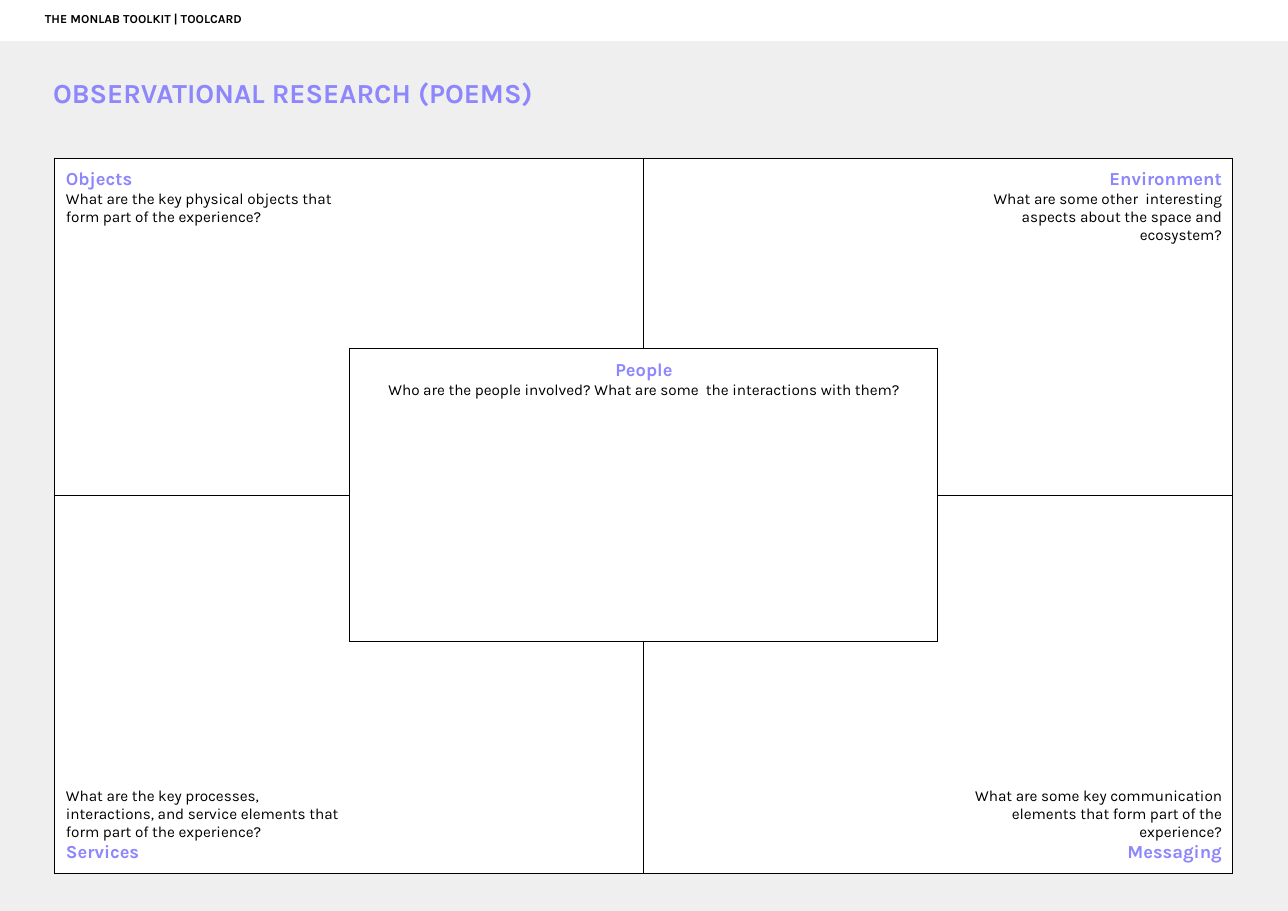
from dataclasses import dataclass

from lxml import etree
from pptx import Presentation
from pptx.dml.color import RGBColor
from pptx.enum.shapes import MSO_SHAPE
from pptx.enum.text import MSO_ANCHOR, MSO_AUTO_SIZE, PP_ALIGN
from pptx.oxml.ns import qn
from pptx.util import Pt

RECT = MSO_SHAPE.RECTANGLE
TOP, BOTTOM = MSO_ANCHOR.TOP, MSO_ANCHOR.BOTTOM
LEFT, CENTER, RIGHT = PP_ALIGN.LEFT, PP_ALIGN.CENTER, PP_ALIGN.RIGHT
NO_AUTOFIT = MSO_AUTO_SIZE.NONE

BLACK = RGBColor(0x00, 0x00, 0x00)
WHITE = RGBColor(0xFF, 0xFF, 0xFF)
GREY = RGBColor(0xEF, 0xEF, 0xEF)
LILAC = RGBColor(0x8D, 0x86, 0xFC)

FONT = "Karla"
EMU_PER_PX = 8300
SLIDE_W, SLIDE_H = 1288, 911
INSET = 11
COLS = [295, 294, 294, 295]
ROWS = [191, 147, 146, 232]
OUTER_EDGES = (0, 2, 4)  # ruled grid lines in the outer rows and columns
MIDDLE_EDGES = (0, 1, 3, 4)  # ruled grid lines beside the central cell


@dataclass
class Prompt:
    row: int
    col: int
    heading: str
    question: str
    align: PP_ALIGN
    anchor: MSO_ANCHOR = TOP


PROMPTS = [
    Prompt(0, 0, "Objects",
           "What are the key physical objects that form part of the experience?", LEFT),
    Prompt(0, 3, "Environment",
           "What are some other  interesting aspects about the space and ecosystem?", RIGHT),
    Prompt(1, 1, "People",
           "Who are the people involved? What are some  the interactions with them?", CENTER),
    Prompt(3, 0, "Services",
           "What are the key processes, interactions, and service elements that "
           "form part of the experience?", LEFT, BOTTOM),
    Prompt(3, 3, "Messaging",
           "What are some key communication elements that form part of the experience?",
           RIGHT, BOTTOM),
]


def px(n: int) -> int:
    return n * EMU_PER_PX


def write(p, text: str, *, size: int, color: RGBColor = BLACK,
          bold: bool = False, align: PP_ALIGN = LEFT) -> None:
    p.alignment = align
    r = p.add_run()
    r.text = text
    r.font.name = FONT
    r.font.size = Pt(size)
    r.font.bold = bold
    r.font.color.rgb = color


def set_insets(box, left: int = INSET) -> None:
    box.margin_left = px(left)
    box.margin_top = box.margin_right = box.margin_bottom = px(INSET)


def add_band(s, height: int, color: RGBColor):
    sp = s.shapes.add_shape(RECT, 0, 0, px(SLIDE_W), px(height))
    sp.shadow.inherit = False
    sp.fill.solid()
    sp.fill.fore_color.rgb = color
    sp.line.fill.background()
    return sp


def set_frame(tf, left: int) -> None:
    tf.word_wrap = True
    tf.auto_size = NO_AUTOFIT
    tf.vertical_anchor = TOP
    set_insets(tf, left)


def add_border(cell, side: str, ruled: bool) -> None:
    ln = etree.SubElement(cell._tc.get_or_add_tcPr(), qn(f"a:ln{side}"), w=str(Pt(0.75)))
    if ruled:
        fill = etree.SubElement(ln, qn("a:solidFill"))
        etree.SubElement(fill, qn("a:srgbClr"), val=str(BLACK))
    else:
        etree.SubElement(ln, qn("a:noFill"))


def ruled_edges(index: int) -> tuple[int, ...]:
    return MIDDLE_EDGES if index in (1, 2) else OUTER_EDGES


def style_cell(cell, row: int, col: int) -> None:
    span_w = cell.span_width if cell.is_merge_origin else 1
    span_h = cell.span_height if cell.is_merge_origin else 1
    across, down = ruled_edges(row), ruled_edges(col)
    add_border(cell, "L", col in across)
    add_border(cell, "R", col + span_w in across)
    add_border(cell, "T", row in down)
    add_border(cell, "B", row + span_h in down)
    cell.fill.solid()
    cell.fill.fore_color.rgb = WHITE


def fill_prompt(cell, prompt: Prompt) -> None:
    set_insets(cell)
    cell.vertical_anchor = prompt.anchor
    tf = cell.text_frame
    first, second = tf.paragraphs[0], tf.add_paragraph()
    heading, question = (second, first) if prompt.anchor == BOTTOM else (first, second)
    write(heading, prompt.heading, size=12, color=LILAC, bold=True, align=prompt.align)
    write(question, prompt.question, size=10, align=prompt.align)


def add_canvas(s) -> None:
    table = s.shapes.add_table(len(ROWS), len(COLS), px(55), px(158),
                               px(sum(COLS)), px(sum(ROWS))).table
    table.first_row = table.horz_banding = False
    for column, width in zip(table.columns, COLS):
        column.width = px(width)
    for row, height in zip(table.rows, ROWS):
        row.height = px(height)
    table.cell(1, 1).merge(table.cell(2, 2))
    for row in range(len(ROWS)):
        for col in range(len(COLS)):
            style_cell(table.cell(row, col), row, col)
    for prompt in PROMPTS:
        fill_prompt(table.cell(prompt.row, prompt.col), prompt)


def main() -> None:
    prs = Presentation()
    prs.slide_width, prs.slide_height = px(SLIDE_W), px(SLIDE_H)
    s = prs.slides.add_slide(prs.slide_layouts[5])

    # Background and canvas
    add_band(s, SLIDE_H, GREY)
    add_canvas(s)

    # Header strip
    header = add_band(s, 41, WHITE)
    set_frame(header.text_frame, left=45)
    write(header.text_frame.paragraphs[0], "THE MONLAB TOOLKIT | TOOLCARD",
          size=8, bold=True)

    # Title, raised above the background
    title = s.shapes.title
    title.left, title.top, title.width, title.height = px(0), px(65), px(732), px(56)
    set_frame(title.text_frame, left=53)
    write(title.text_frame.paragraphs[0], "OBSERVATIONAL RESEARCH (POEMS)",
          size=18, color=LILAC, bold=True)
    header.element.addprevious(title.element)

    prs.save("out.pptx")


if __name__ == "__main__":
    main()
